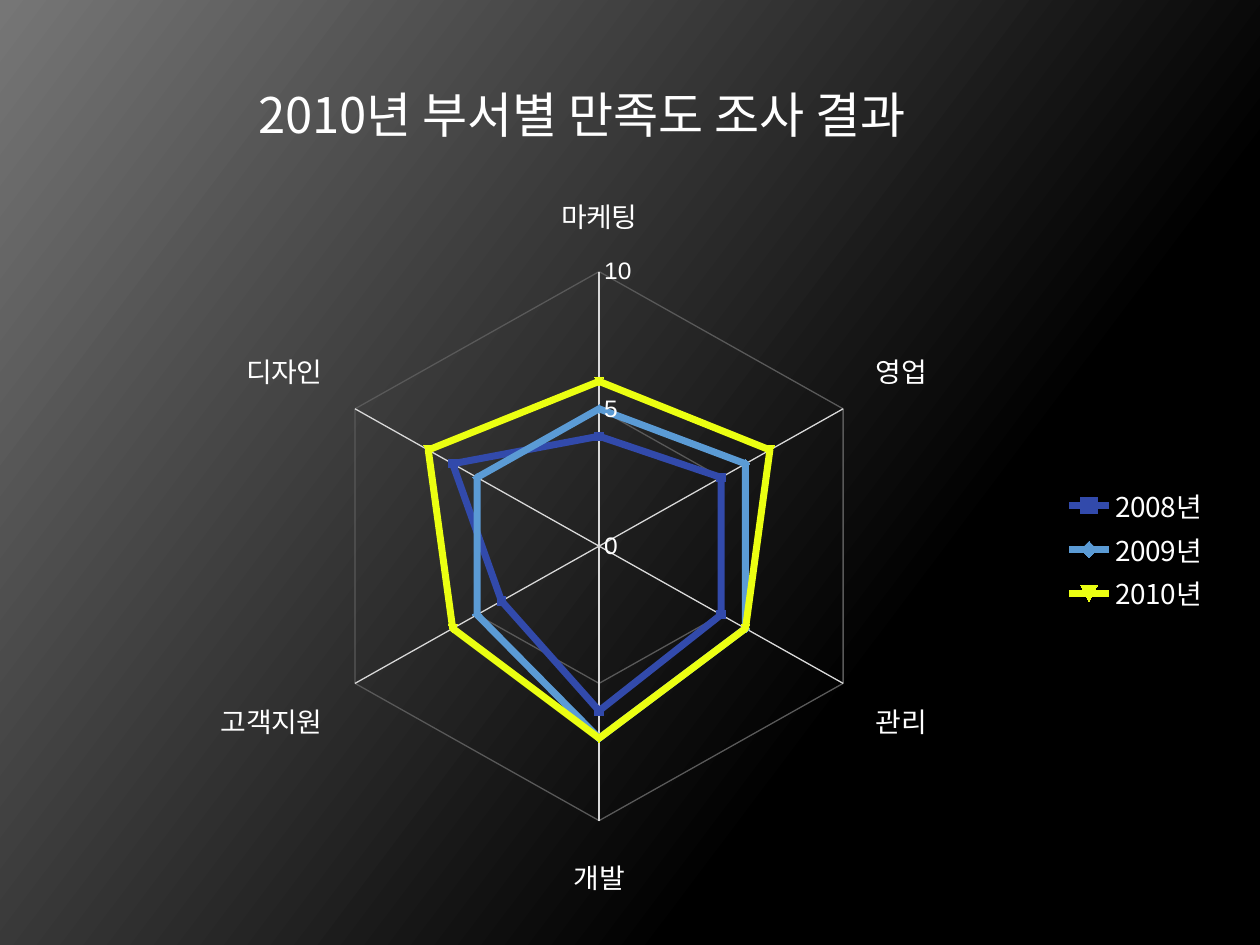
from copy import deepcopy
from lxml.etree import SubElement
from pptx import Presentation
from pptx.chart.data import CategoryChartData
from pptx.dml.color import RGBColor
from pptx.enum.chart import XL_CHART_TYPE, XL_LEGEND_POSITION, XL_MARKER_STYLE, XL_TICK_MARK
from pptx.enum.text import MSO_ANCHOR, PP_ALIGN
from pptx.oxml.ns import qn
from pptx.util import Cm, Pt

HEX = {"white": "FFFFFF", "black": "000000", "gray": "767676", "grid": "595959",
       "spoke": "D9D9D9", "2008년": "324AAB", "2009년": "5B9BD5", "2010년": "EBFF12"}
KOREAN = "Noto Sans CJK KR"


def color(name):
    return RGBColor.from_string(HEX[name])


def style(font, size, face):
    font.size, font.name, font.bold = Pt(size), face, False
    font.color.rgb = color("white")


deck = Presentation()
deck.slide_width, deck.slide_height = Cm(25.4), Cm(19.05)
slide = deck.slides.add_slide(deck.slide_layouts[5])

# Background gradient, three stops
fill = slide.background.fill
fill.gradient()
fill.gradient_angle = 143
stops = slide._element.find(".//" + qn("a:gsLst"))
stops.insert(0, deepcopy(stops[0]))
for stop, (place, name) in zip(fill.gradient_stops, [(0, "black"), (0.3, "black"), (1, "gray")]):
    stop.position = place
    stop.color.rgb = color(name)

# Title
title = slide.shapes.title
title.left, title.top, title.width, title.height = Cm(4.95), Cm(1.57), Cm(16.08), Cm(1.45)
frame = title.text_frame
frame.text = "2010년 부서별 만족도 조사 결과"
frame.vertical_anchor = MSO_ANCHOR.MIDDLE
line = frame.paragraphs[0]
line.alignment = PP_ALIGN.LEFT
run = line.runs[0]
style(run.font, 28, KOREAN)
SubElement(run.font._element, qn("a:ea")).set("typeface", KOREAN)

# Radar chart
data = CategoryChartData()
data.categories = ["마케팅", "영업", "관리", "개발", "고객지원", "디자인"]
data.add_series("2008년", [4, 5, 5, 6, 4, 6])
data.add_series("2009년", [5, 6, 6, 7, 5, 5])
data.add_series("2010년", [6, 7, 6, 7, 6, 7])
chart = slide.shapes.add_chart(XL_CHART_TYPE.RADAR_MARKERS, Cm(3.18), Cm(3.96),
                               Cm(21.44), Cm(14.1), data).chart
chart.has_title = False
style(chart.font, 18, "Arial")
plot = chart.plots[0]
plot.vary_by_categories = False

# Series
for part in plot.series:
    tone = color(part.name)
    part.format.line.color.rgb = tone
    part.format.line.width = Pt(4)
    mark = part.marker
    mark.style, mark.size = XL_MARKER_STYLE.AUTOMATIC, 5
    mark.format.fill.solid()
    mark.format.fill.fore_color.rgb = tone
    mark.format.line.color.rgb = tone

# Axes
spokes, scale = chart.category_axis, chart.value_axis
scale.minimum_scale, scale.maximum_scale, scale.major_unit = 0, 10, 5
for axis, size, name in [(spokes, 16, "spoke"), (scale, 14, "grid")]:
    axis.major_tick_mark = axis.minor_tick_mark = XL_TICK_MARK.NONE
    style(axis.tick_labels.font, size, "Arial")
    axis.format.line.color.rgb = color("spoke")
    axis.has_major_gridlines = True
    axis.major_gridlines.format.line.color.rgb = color(name)
    axis.major_gridlines.format.line.width = Pt(0.75)

# Legend
chart.has_legend = True
legend = chart.legend
legend.position = XL_LEGEND_POSITION.RIGHT
legend.include_in_layout = False
style(legend.font, 16, KOREAN)

# Fixed inner plot area
area = chart._chartSpace.find(".//" + qn("c:plotArea"))
layout = area.find(qn("c:layout"))
if layout is None:
    layout = SubElement(area, qn("c:layout"))
    area.insert(0, layout)
manual = SubElement(layout, qn("c:manualLayout"))
for tag, value in [("layoutTarget", "inner"), ("xMode", "edge"), ("yMode", "edge"),
                   ("x", 0.15), ("y", 0.09), ("w", 0.53), ("h", 0.81)]:
    SubElement(manual, qn("c:" + tag)).set("val", str(value))

deck.save("out.pptx")
